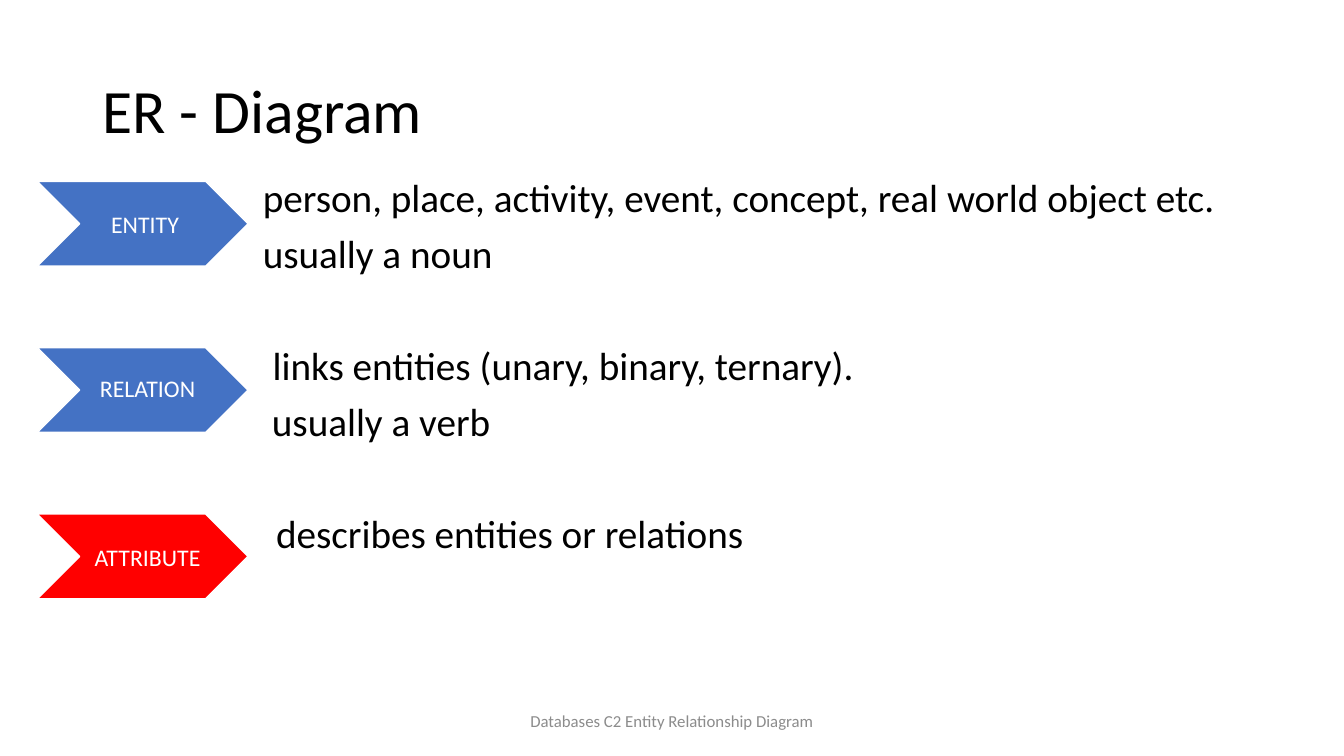
from lxml import etree
from pptx import Presentation
from pptx import util as u
from pptx.dml.color import RGBColor
from pptx.enum import shapes, text
from pptx.oxml.ns import qn


def style(paragraph, size, color):
    font = paragraph.runs[0].font
    font.name = "Calibri"
    font.size = u.Pt(size)
    font.color.rgb = RGBColor.from_string(color)


def place(shape, left, top, width, height):
    shape.left, shape.top = u.Pt(left), u.Pt(top)
    shape.width, shape.height = u.Pt(width), u.Pt(height)


deck = Presentation()
deck.slide_width, deck.slide_height = u.Pt(960), u.Pt(540)
slide = deck.slides.add_slide(deck.slide_layouts[1])

# Title
title = slide.shapes.title
place(title, 66, 28.75, 828, 104.4)
title.text_frame.text = "ER - Diagram"
title.text_frame.vertical_anchor = text.MSO_ANCHOR.MIDDLE
title.text_frame.auto_size = text.MSO_AUTO_SIZE.NONE
heading = title.text_frame.paragraphs[0]
heading.alignment = text.PP_ALIGN.LEFT
heading.line_spacing = 0.9
style(heading, 44, "000000")

# Definitions: wording, left indent, space before
definitions = [
    ("person, place, activity, event, concept, real world object etc.", 114.5, 10),
    ("usually a noun", 114.5, 10),
    ("links entities (unary, binary, ternary).", 121.5, 49.5),
    ("usually a verb", 121, 10),
    ("describes entities or relations", 124, 49.5),
]
body = slide.placeholders[1]
place(body, 66, 123.85, 828, 342.7)
body.text_frame.text = "\n".join(wording for wording, _, _ in definitions)
body.text_frame.auto_size = text.MSO_AUTO_SIZE.NONE
for definition, (_, indent, gap) in zip(body.text_frame.paragraphs, definitions):
    definition.line_spacing = 0.9
    definition.space_before = u.Pt(gap)
    style(definition, 28, "000000")
    # Indent without a bullet
    properties = definition._p.get_or_add_pPr()
    properties.set("marL", str(u.Pt(indent)))
    properties.set("indent", "0")
    etree.SubElement(properties, qn("a:buNone"))

# Chevrons: label, fill, left inset, top inset
terms = [
    ("ENTITY", "4472C4", 5, 5),
    ("RELATION", "4472C4", 8.5, 1.5),
    ("ATTRIBUTE", "FF0000", 8.5, 5.5),
]
for row, (label, fill, inset_left, inset_top) in enumerate(terms):
    chevron = slide.shapes.add_shape(
        shapes.MSO_SHAPE.CHEVRON,
        u.Pt(26.65), u.Pt(129.6 + 118.8 * row), u.Pt(150.5), u.Pt(60.5))
    chevron.shadow.inherit = False
    chevron.fill.solid()
    chevron.fill.fore_color.rgb = RGBColor.from_string(fill)
    chevron.line.color.rgb = RGBColor.from_string("FFFFFF")
    chevron.line.width = u.Pt(1)
    frame = chevron.text_frame
    frame.text = label
    frame.vertical_anchor = text.MSO_ANCHOR.MIDDLE
    frame.margin_left, frame.margin_top = u.Pt(inset_left), u.Pt(inset_top)
    frame.margin_right = frame.margin_bottom = u.Pt(1.5)
    term = frame.paragraphs[0]
    term.alignment = text.PP_ALIGN.CENTER
    term.line_spacing = 0.9
    style(term, 17, "FFFFFF")

# Footer
footer = slide.shapes.add_textbox(u.Pt(318), u.Pt(500.5), u.Pt(324), u.Pt(28.75))
footer.text_frame.word_wrap = True
footer.text_frame.vertical_anchor = text.MSO_ANCHOR.MIDDLE
footer.text_frame.text = "Databases C2 Entity Relationship Diagram"
course = footer.text_frame.paragraphs[0]
course.alignment = text.PP_ALIGN.CENTER
style(course, 12, "8C8C8C")

deck.save("out.pptx")
